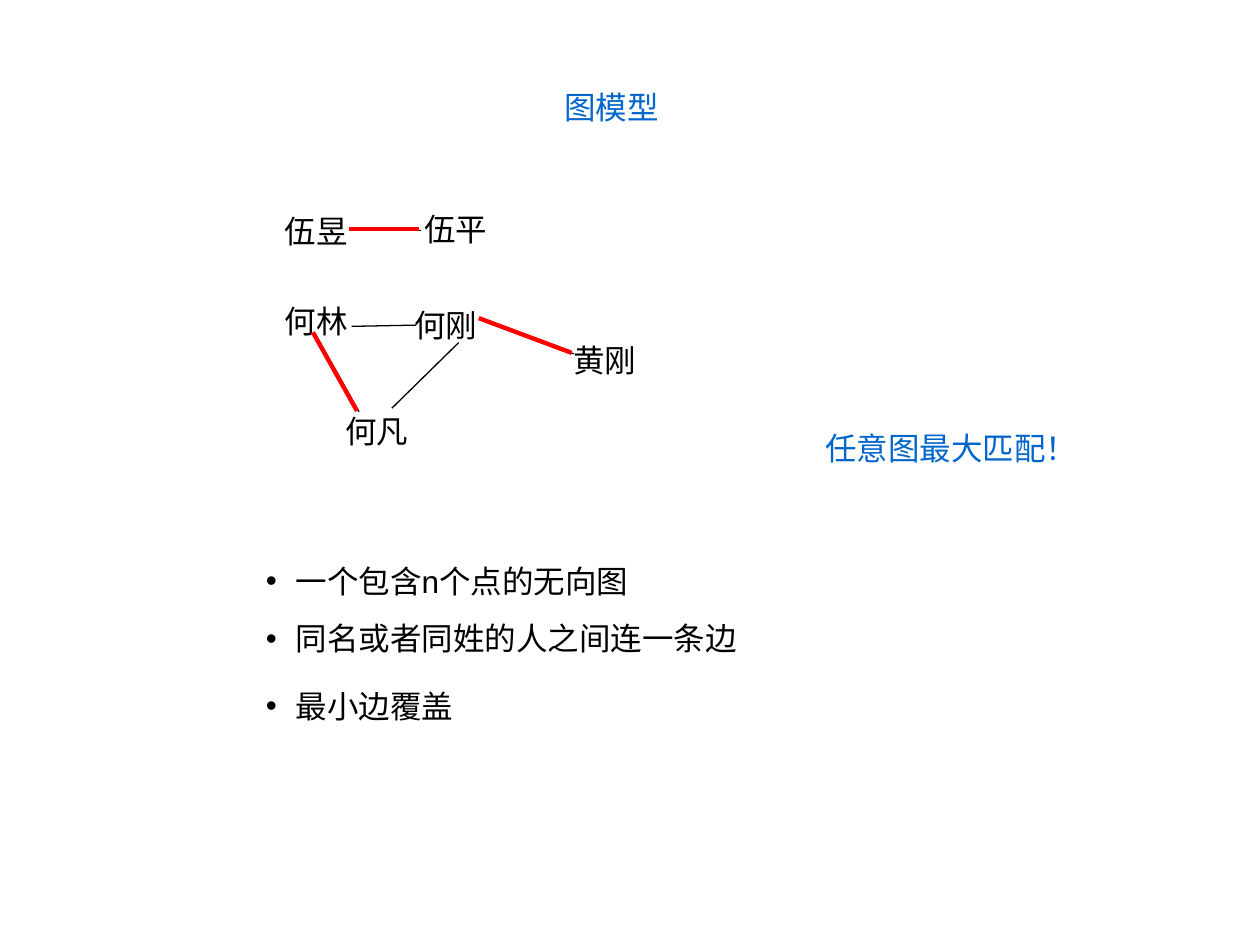
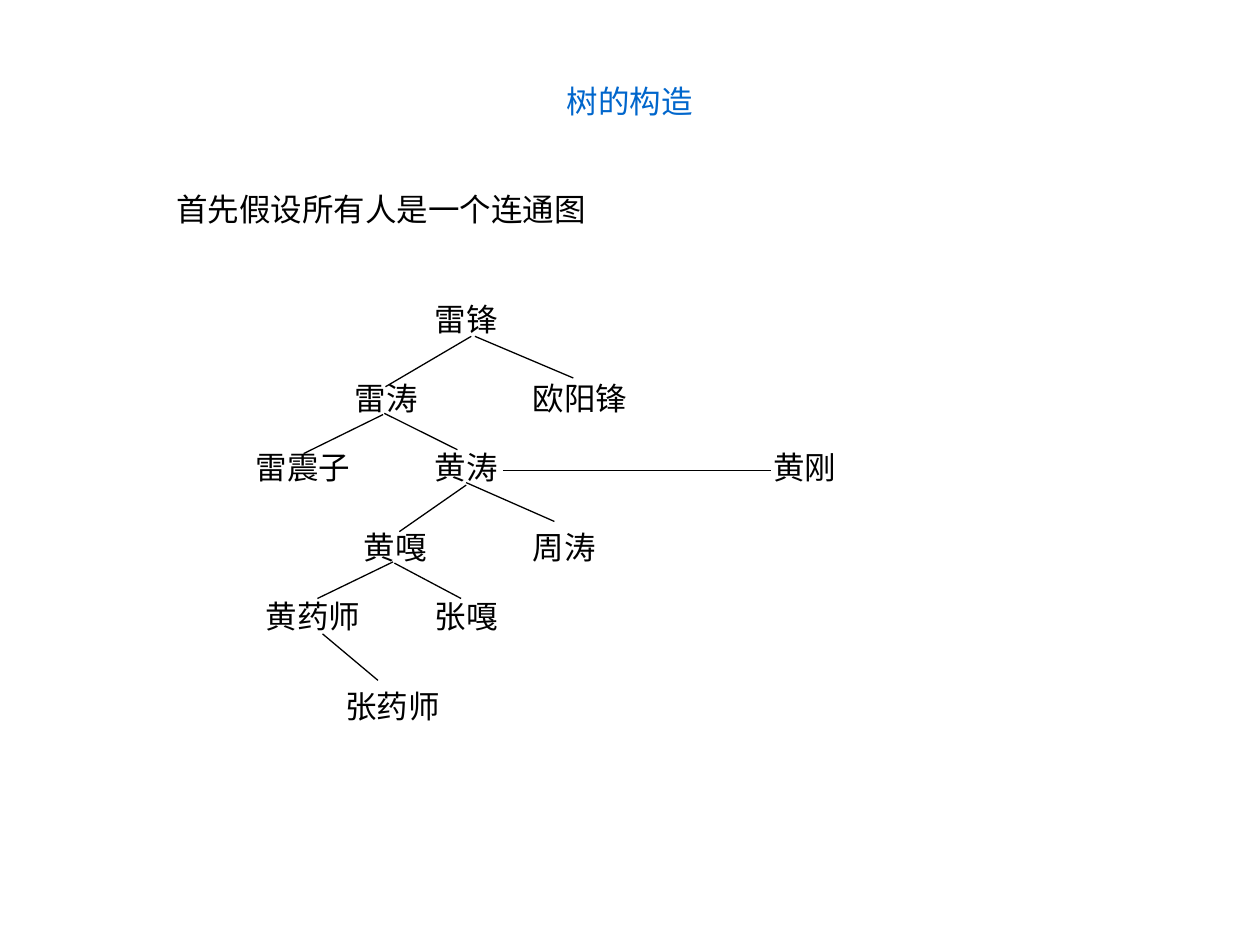
from lxml.etree import SubElement
from pptx import Presentation
from pptx.dml.color import RGBColor
from pptx.enum.shapes import MSO_CONNECTOR as Connector
from pptx.enum.text import MSO_ANCHOR as Anchor, MSO_AUTO_SIZE as AutoSize, PP_ALIGN as Align
from pptx.oxml.ns import qn
from pptx.util import Pt

COLORS = {"heading": "0066CC", "text": "000000", "edge": "000000", "match": "FF0000"}
LATIN, CJK = "Arial", "Noto Sans CJK SC"
SIZE, GAP, INDENT = 18, 11.2, 17
ROW_H, NAME_W, WIDE_W = 29, 57, 73.5
THIN, THICK = 0.75, 2.5
MATCH_SHIFT = (-1.2, -0.6)

GRAPH = {
    "title": ("图模型", (286.5, 46.8, 126, 36)),
    "people": [
        ("伍昱", 155.5, 117.4, NAME_W),
        ("伍平", 235.4, 116.6, NAME_W),
        ("黄刚", 320.4, 191.5, NAME_W),
        ("何刚", 229.7, 171.4, NAME_W),
        ("何林", 155.5, 169.2, NAME_W),
        ("何凡", 190.1, 231.8, NAME_W),
    ],
    "matched": [
        (200.9, 131.6, 240.5, 131.6),
        (180, 190.5, 205.2, 235.4),
        (274.8, 182.4, 327.8, 202.2),
    ],
    "unmatched": [(200.9, 186.5, 237.6, 185.8), (262.1, 195.8, 223.9, 233.3)],
    "callout": ("任意图最大匹配！", (399.6, 241.9, 288, 36)),
    "points": [
        ("一个包含n个点的无向图", GAP),
        ("同名或者同姓的人之间连一条边", GAP),
        ("最小边覆盖", 17),
    ],
    "points_box": (144.7, 317.5, 447.8, 100),
}

TREE = {
    "title": ("树的构造", (269.3, 43.2, 181.4, 41.8)),
    "premise": ("首先假设所有人是一个连通图", 93.6, 105.1, 289.4),
    "levels": [
        (167.8, [("雷锋", 241.2, WIDE_W)]),
        (213, [("雷涛", 195.8, 62.6), ("欧阳锋", 297.4, 96.5)]),
        (252.7, [("雷震子", 139, WIDE_W), ("黄涛", 241.2, WIDE_W), ("黄刚", 434.9, NAME_W)]),
        (298, [("黄嘎", 200.9, WIDE_W), ("周涛", 297.4, WIDE_W)]),
        (337.7, [("黄药师", 144.7, WIDE_W), ("张嘎", 241.2, WIDE_W)]),
        (388.8, [("张药师", 190.1, 79.2)]),
    ],
    "branches": [
        (269.3, 192.2, 220.3, 221),
        (271.4, 192.2, 327.6, 216),
        (218.9, 236.9, 173.5, 259.2),
        (219.6, 236.2, 261.4, 257),
        (287.3, 269, 440.6, 269),
        (266.4, 277.2, 228.2, 303.8),
        (266.4, 275.8, 316.8, 298),
        (224.6, 321.1, 181.4, 342),
        (225.4, 321.8, 263.5, 342),
        (184.3, 362.2, 216, 388.8),
    ],
}


def write(paragraph, wording, color, font, before=0, align=Align.LEFT):
    paragraph.space_before = Pt(before)
    paragraph.alignment = align
    run = paragraph.add_run()
    run.text = wording
    run.font.size = Pt(SIZE)
    run.font.color.rgb = RGBColor.from_string(COLORS[color])
    run.font.name = font
    SubElement(run.font._element, qn("a:ea")).set("typeface", CJK)


def place(holder, box):
    holder.left, holder.top, holder.width, holder.height = map(Pt, box)


def heading(holder, wording):
    frame = holder.text_frame
    frame.word_wrap = False
    frame.auto_size = AutoSize.NONE
    frame.vertical_anchor = Anchor.TOP
    write(frame.paragraphs[0], wording, "heading", CJK, align=Align.CENTER)


def label(shapes, wording, left, top, width):
    frame = shapes.add_textbox(Pt(left), Pt(top), Pt(width), Pt(ROW_H)).text_frame
    frame.word_wrap = True
    frame.auto_size = AutoSize.SHAPE_TO_FIT_TEXT
    write(frame.paragraphs[0], wording, "text", LATIN, GAP)


def edge(shapes, ends, color="edge", weight=THIN):
    line = shapes.add_connector(Connector.STRAIGHT, *map(Pt, ends))
    line.line.color.rgb = RGBColor.from_string(COLORS[color])
    line.line.width = Pt(weight)
    SubElement(line._element.spPr, qn("a:effectLst"))


def bullet_list(holder, points):
    frame = holder.text_frame
    frame.auto_size = AutoSize.NONE
    frame.vertical_anchor = Anchor.TOP
    for index, (wording, before) in enumerate(points):
        paragraph = frame.add_paragraph() if index else frame.paragraphs[0]
        write(paragraph, wording, "text", LATIN, before)
        props = paragraph._p.get_or_add_pPr()
        props.set("marL", str(Pt(INDENT)))
        props.set("indent", str(-Pt(INDENT)))
        SubElement(props, qn("a:buFont")).set("typeface", LATIN)
        SubElement(props, qn("a:buChar")).set("char", "•")


def titled_slide(deck, layout, title):
    slide = deck.slides.add_slide(deck.slide_layouts[layout])
    wording, box = title
    place(slide.shapes.title, box)
    heading(slide.shapes.title, wording)
    return slide


def graph_slide(deck):
    slide = titled_slide(deck, 1, GRAPH["title"])
    points = slide.placeholders[1]
    place(points, GRAPH["points_box"])
    bullet_list(points, GRAPH["points"])
    graph = slide.shapes.add_group_shape().shapes
    for person in GRAPH["people"]:
        label(graph, *person)
    for ends in GRAPH["matched"] + GRAPH["unmatched"]:
        edge(graph, ends)
    matching = slide.shapes.add_group_shape().shapes
    for ends in GRAPH["matched"]:
        shifted = [at + shift for at, shift in zip(ends, MATCH_SHIFT * 2)]
        edge(matching, shifted, "match", THICK)
    wording, box = GRAPH["callout"]
    heading(slide.shapes.add_textbox(*map(Pt, box)), wording)


def tree_slide(deck):
    slide = titled_slide(deck, 5, TREE["title"])
    label(slide.shapes, *TREE["premise"])
    tree = slide.shapes.add_group_shape().shapes
    for top, people in TREE["levels"]:
        for name, left, width in people:
            label(tree, name, left, top, width)
    for ends in TREE["branches"]:
        edge(tree, ends)


def main():
    deck = Presentation()
    deck.slide_width, deck.slide_height = Pt(720), Pt(540)
    graph_slide(deck)
    tree_slide(deck)
    deck.save("out.pptx")


if __name__ == "__main__":
    main()
